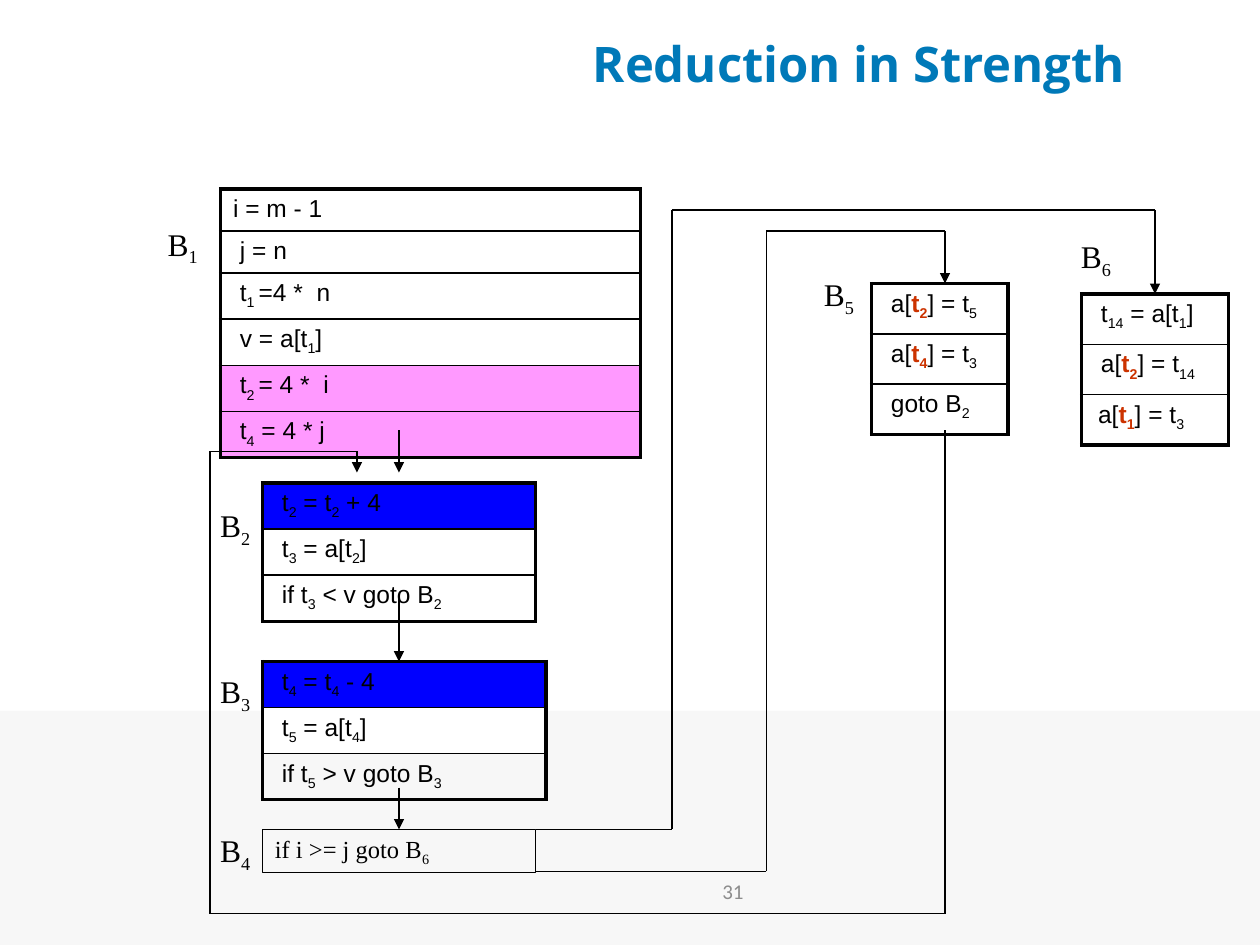
from itertools import pairwise

from lxml.etree import SubElement
from pptx import Presentation
from pptx.dml.color import RGBColor
from pptx.enum.shapes import MSO_CONNECTOR, MSO_SHAPE
from pptx.enum.text import MSO_ANCHOR, PP_ALIGN
from pptx.oxml.ns import qn
from pptx.util import Inches, Pt

BLACK = RGBColor(0x00, 0x00, 0x00)
WHITE = RGBColor(0xFF, 0xFF, 0xFF)
BAND_GRAY = RGBColor(0xF7, 0xF7, 0xF7)
NUMBER_GRAY = RGBColor(0x8C, 0x8C, 0x8C)
TITLE_BLUE = RGBColor(0x00, 0x79, 0xB8)
PINK = RGBColor(0xFF, 0x99, 0xFF)
BLUE = RGBColor(0x00, 0x00, 0xFF)
RED = RGBColor(0xCC, 0x33, 0x00)

COLUMNS, ROWS = 120, 90
UNIT = 1 / 12

BLOCKS = [
    dict(box=(21, 18, 40), heights=[3.84, 3.84, 4.2, 4.2, 4.2, 4.2],
         label="B~1~", label_box=(10, 20.8, 10, 4.8), fills={4: PINK, 5: PINK},
         code=["i = m - 1", " j = n", " t~1 ~=4 *  n", " v = a[t~1~]",
               " t~2 ~= 4 *  i", " t~4~ = 4 * j"]),
    dict(box=(25, 46, 26), heights=[4.2] * 3,
         label="B~2~", label_box=(15, 47.6, 10, 4.8), fills={0: BLUE},
         code=[" t~2~ = t~2~ + 4", " t~3~ = a[t~2~]", " if t~3~ < v goto B~2~"]),
    dict(box=(25, 63, 27), heights=[4.2] * 3,
         label="B~3~", label_box=(15, 63.4, 10, 4.8), fills={0: BLUE, 1: WHITE},
         code=[" t~4~ = t~4~ - 4", " t~5~ = a[t~4~]", " if t~5~ > v goto B~3~"]),
    dict(box=(83, 27, 13), heights=[4.8] * 3,
         label="B~5~", label_box=(72.5, 25.6, 10, 4.8), fills={},
         code=[" a[^t~2~^] = t~5~", " a[^t~4~^] = t~3~", " goto B~2~"]),
    dict(box=(103, 28, 14), heights=[4.8] * 3,
         label="B~6~", label_box=(95, 22, 12, 5), fills={},
         code=[" t~14~ = a[t~1~]", " a[^t~2~^] = t~14~", "~ ~a[^t~1~^] = t~3~"]),
]

ROUTES = [
    [(38, 41), (38, 45)],
    [(38, 57), (38, 63)],
    [(51, 79), (64, 79), (64, 20), (110, 20), (110, 28)],
    [(51, 83), (73, 83), (73, 22), (90, 22), (90, 27)],
    [(90, 41), (90, 87), (20, 87), (20, 43), (34, 43), (34, 45)],
]


def grid(*counts):
    """Turn counts of grid columns or rows into lengths."""
    return [Inches(count * UNIT) for count in counts]


def write(frame, text, *, size, font="Arial", color=BLACK, bold=False,
          align=PP_ALIGN.LEFT, anchor=MSO_ANCHOR.TOP):
    """Write text in which ~ encloses subscripts and ^ encloses highlights."""
    frame.word_wrap = True
    frame.vertical_anchor = anchor
    paragraph = frame.paragraphs[0]
    paragraph.alignment = align
    for part, phrase in enumerate(text.split("^")):
        highlighted = part % 2 == 1
        for piece, wording in enumerate(phrase.split("~")):
            if not wording:
                continue
            run = paragraph.add_run()
            run.text = wording
            run.font.size = Pt(size)
            run.font.name = font
            run.font.bold = bold or highlighted
            run.font.color.rgb = RED if highlighted else color
            if piece % 2:
                run.font._element.set("baseline", "-25000")


def add_label(slide, box, text, **style):
    """Place a text box on the grid."""
    label = slide.shapes.add_textbox(*grid(*box))
    write(label.text_frame, text, **style)


def add_header(slide, box):
    """Place the slide title."""
    title = slide.shapes.title
    title.left, title.top, title.width, title.height = grid(*box)
    write(title.text_frame, "Reduction in Strength", size=28, font="Open Sans",
          color=TITLE_BLUE, bold=True, align=PP_ALIGN.CENTER, anchor=MSO_ANCHOR.MIDDLE)


def add_footer(slide, box):
    """Place the gray band and the slide number."""
    band = slide.shapes.add_shape(MSO_SHAPE.RECTANGLE, *grid(*box))
    band.shadow.inherit = False
    band.fill.solid()
    band.fill.fore_color.rgb = BAND_GRAY
    band.line.fill.background()
    add_label(slide, (50.8, box[1] + 14.1, 38, 6.2), "31", size=12, font="Calibri",
              color=NUMBER_GRAY, align=PP_ALIGN.CENTER, anchor=MSO_ANCHOR.MIDDLE)


def set_borders(cell, first, last):
    """Draw thick outer and thin inner borders."""
    properties = cell._tc.get_or_add_tcPr()
    widths = {"a:lnL": 2.25, "a:lnR": 2.25, "a:lnT": 2.25 if first else 1,
              "a:lnB": 2.25 if last else 1}
    for tag, width in widths.items():
        border = SubElement(properties, qn(tag), w=str(Pt(width)))
        paint = SubElement(border, qn("a:solidFill"))
        SubElement(paint, qn("a:srgbClr"), val=str(BLACK))


def add_block(slide, box, heights, label, label_box, fills, code):
    """Place a basic block as a table with its label."""
    left, top, width = box
    table = slide.shapes.add_table(
        len(code), 1, *grid(left, top, width, sum(heights))).table
    table.first_row = table.horz_banding = False
    for index, (statement, height) in enumerate(zip(code, heights)):
        table.rows[index].height = Inches(height * UNIT)
        cell = table.cell(index, 0)
        set_borders(cell, index == 0, index == len(code) - 1)
        if index in fills:
            cell.fill.solid()
            cell.fill.fore_color.rgb = fills[index]
        else:
            cell.fill.background()
        write(cell.text_frame, statement, size=14)
    add_label(slide, label_box, label, size=18, font="Times New Roman",
              align=PP_ALIGN.RIGHT)


def add_branch_block(slide, box):
    """Place the one-line block B4 with its label."""
    branch = slide.shapes.add_shape(MSO_SHAPE.RECTANGLE, *grid(*box))
    branch.shadow.inherit = False
    branch.fill.background()
    branch.line.color.rgb = BLACK
    branch.line.width = Pt(0.75)
    write(branch.text_frame, "if i >= j goto B~6~", size=14, font="Times New Roman",
          anchor=MSO_ANCHOR.MIDDLE)
    add_label(slide, (box[0] - 10, box[1] - 0.4, 10, 4.8), "B~4~", size=18,
              font="Times New Roman", align=PP_ALIGN.RIGHT)
    return branch


def add_route(slide, points):
    """Draw a path of straight lines ending in an arrowhead."""
    for start, end in pairwise(points):
        segment = slide.shapes.add_connector(MSO_CONNECTOR.STRAIGHT, *grid(*start, *end))
        segment.line.color.rgb = BLACK
        segment.line.width = Pt(0.75)
        properties = segment.element.spPr
        SubElement(properties, qn("a:effectLst"))
    SubElement(properties.find(qn("a:ln")), qn("a:tailEnd"), type="triangle")
    return segment


def main():
    """Build and save the slide."""
    presentation = Presentation()
    presentation.slide_width, presentation.slide_height = grid(COLUMNS, ROWS)
    slide = presentation.slides.add_slide(presentation.slide_layouts[5])
    add_footer(slide, (0, 67.7, COLUMNS, ROWS - 67.7))
    add_header(slide, (46, 2, 71.6, 8))
    for block in BLOCKS:
        add_block(slide, **block)
    branch = add_branch_block(slide, (25, 79, 26, 4.1))
    for points in ROUTES:
        add_route(slide, points)
    add_route(slide, [(38, 75), (38, 79)]).end_connect(branch, 0)
    presentation.save("out.pptx")


if __name__ == "__main__":
    main()
